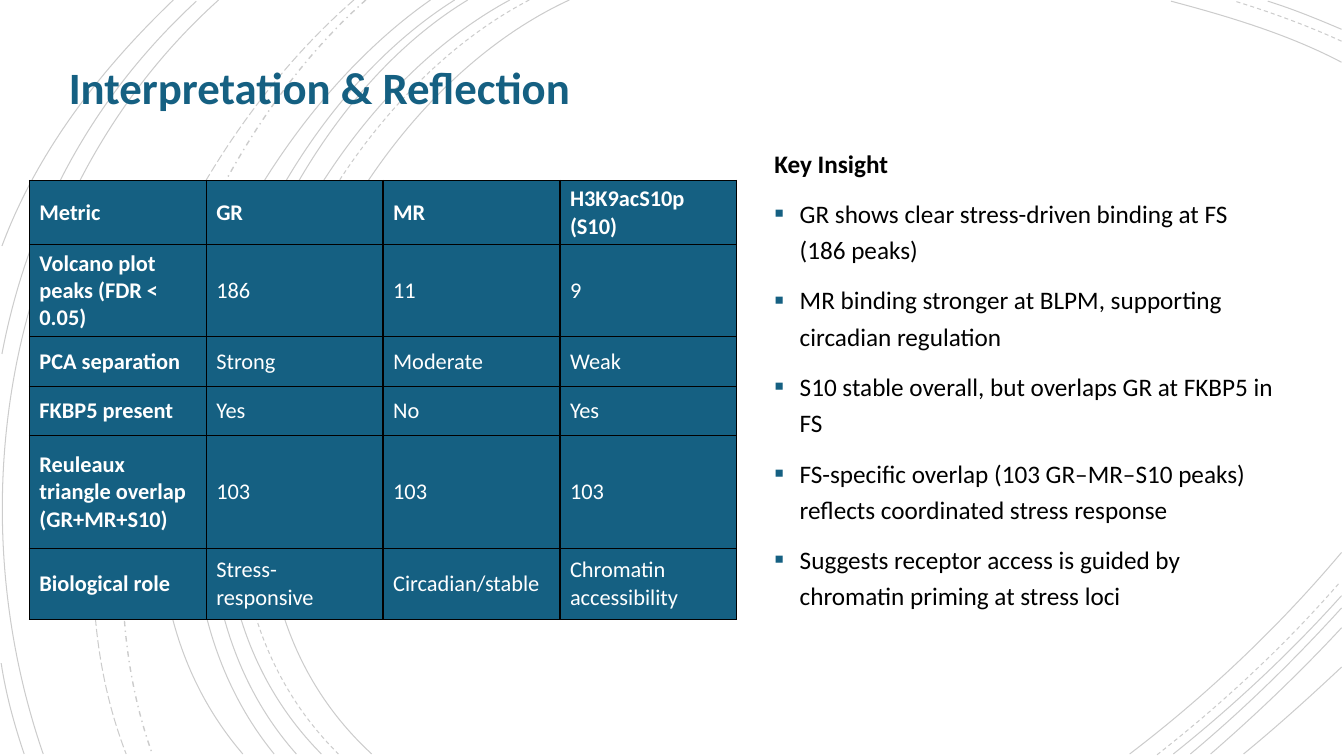
from lxml import etree
from pptx import Presentation
from pptx.dml.color import RGBColor
from pptx.enum.dml import MSO_LINE
from pptx.enum.text import MSO_ANCHOR, MSO_AUTO_SIZE, PP_ALIGN
from pptx.oxml import parse_xml
from pptx.oxml.ns import qn
from pptx.util import Cm, Pt

SOLID, DASH = MSO_LINE.SOLID, MSO_LINE.DASH
DASH_DOT, LONG_DASH = MSO_LINE.DASH_DOT, MSO_LINE.LONG_DASH
MIDDLE, LEFT, NO_FIT = MSO_ANCHOR.MIDDLE, PP_ALIGN.LEFT, MSO_AUTO_SIZE.NONE
NS = 'xmlns:a="http://schemas.openxmlformats.org/drawingml/2006/main"'
FONT = "Calibri"
COLORS = {"accent": "156082", "text": "000000", "light": "FFFFFF", "line": "000000"}

# Cubic curves in cm: start, two control points, end
ARCS = [
    (SOLID, (14.35, 0), (8, 2.92), (3.63, 13.72), (9.37, 19)),
    (SOLID, (33.81, 1.57), (32.46, 0.86), (30.94, 0.41), (29.51, 0.03)),
    (SOLID, (28.47, 19), (30.4, 17.53), (32.23, 15.8), (33.81, 13.92)),
    (DASH, (13.34, 0), (7.24, 3.18), (3.12, 13.64), (8.53, 19)),
    (DASH, (33.81, 1.04), (32.94, 0.64), (32, 0.3), (31.12, 0.03)),
    (DASH, (29.16, 19.02), (30.81, 17.73), (32.39, 16.26), (33.78, 14.66)),
    (SOLID, (12.85, 0), (6.86, 3.23), (2.79, 13.64), (8.1, 19)),
    (SOLID, (33.81, 0.74), (33.2, 0.48), (32.59, 0.23), (31.95, 0.03)),
    (SOLID, (29.57, 19), (31.06, 17.81), (32.51, 16.46), (33.81, 15.01)),
    (SOLID, (11.79, 0), (6.2, 3.38), (2.79, 13.74), (7.47, 19)),
    (SOLID, (30, 19), (31.34, 17.88), (32.61, 16.64), (33.81, 15.32)),
    (SOLID, (11.46, 0), (5.87, 3.51), (2.46, 13.54), (6.91, 19)),
    (SOLID, (30.51, 19), (31.65, 18.01), (32.77, 16.94), (33.81, 15.82)),
    (SOLID, (10.85, 0), (5.51, 3.73), (1.35, 13.44), (6.12, 19)),
    (SOLID, (31.34, 19), (32.18, 18.31), (32.99, 17.58), (33.81, 16.81)),
    (DASH_DOT, (9.22, 0), (4.47, 4.22), (1.65, 12.93), (3.84, 19)),
    (LONG_DASH, (8.92, 0), (3.99, 4.29), (0.74, 12.67), (3.18, 19)),
    (SOLID, (5.51, 0), (0.28, 4.7), (-1.17, 12.45), (1.09, 19)),
    (SOLID, (4.95, 0.03), (2.34, 2.44), (0.71, 5.44), (0.05, 8.92)),
    (SOLID, (0.03, 16.71), (0.15, 17.5), (0.36, 18.26), (0.61, 19)),
    (SOLID, (4.37, 0), (2.54, 1.75), (0.94, 3.81), (0.05, 6.2)),
]

METRICS = [
    ("Metric", "GR", "MR", "H3K9acS10p (S10)"),
    ("Volcano plot peaks (FDR < 0.05)", "186", "11", "9"),
    ("PCA separation", "Strong", "Moderate", "Weak"),
    ("FKBP5 present", "Yes", "No", "Yes"),
    ("Reuleaux triangle overlap (GR+MR+S10)", "103", "103", "103"),
    ("Biological role", "Stress-responsive", "Circadian/stable", "Chromatin accessibility"),
]
ROW_HEIGHTS = [1.5, 2.3, 1.25, 1.25, 2.84, 1.78]

INSIGHTS = [
    "GR shows clear stress-driven binding at FS (186 peaks)",
    "MR binding stronger at BLPM, supporting circadian regulation",
    "S10 stable overall, but overlaps GR at FKBP5 in FS",
    "FS-specific overlap (103 GR–MR–S10 peaks) reflects coordinated stress response",
    "Suggests receptor access is guided by chromatin priming at stress loci",
]


def rgb(name):
    return RGBColor.from_string(COLORS[name])


def add_run(p, text, size, color, bold=False):
    r = p.add_run()
    r.text = text
    r.font.name, r.font.size, r.font.bold = FONT, Pt(size), bold
    r.font.color.rgb = rgb(color)


def place(sp, box):
    """Move a placeholder to its box, in front of what is already drawn."""
    sp.left, sp.top, sp.width, sp.height = [Cm(v) for v in box]
    sp.element.getparent().append(sp.element)
    tf = sp.text_frame
    tf.word_wrap, tf.auto_size, tf.vertical_anchor = True, NO_FIT, MIDDLE
    return tf


def bend(sp):
    """Turn the three straight segments of an outline into one cubic curve."""
    outline = sp.element.find(".//" + qn("a:path"))
    curve = etree.SubElement(outline, qn("a:cubicBezTo"))
    for segment in outline.findall(qn("a:lnTo")):
        curve.append(segment[0])
        outline.remove(segment)


def add_arcs(s, left, top):
    for dash, *points in ARCS:
        start, *others = [(Cm(left + x), Cm(top + y)) for x, y in points]
        builder = s.shapes.build_freeform(*start)
        builder.add_line_segments(others, close=False)
        sp = builder.convert_to_shape()
        bend(sp)
        sp.shadow.inherit = False
        sp.fill.background()
        sp.line.color.rgb = rgb("line")
        sp.line.width = Pt(1 if dash == DASH_DOT else 0.75)
        sp.line.dash_style = dash
        # Faint line: 20% opacity
        color = sp.element.spPr.find(qn("a:ln")).find(".//" + qn("a:srgbClr"))
        etree.SubElement(color, qn("a:alpha"), val="20000")


def add_title(s, box):
    tf = place(s.shapes.title, box)
    p = tf.paragraphs[0]
    p.alignment = LEFT
    add_run(p, "Interpretation & Reflection", 32, "accent", True)


def add_borders(cell):
    tc_pr = cell._tc.get_or_add_tcPr()
    for side in "LRTB":
        tc_pr.append(parse_xml(
            f'<a:ln{side} {NS} w="12700"><a:solidFill><a:srgbClr val="{COLORS["line"]}"/>'
            f'</a:solidFill></a:ln{side}>'))


def add_metrics(s, box):
    left, top, width, height = [Cm(v) for v in box]
    columns = len(METRICS[0])
    table = s.shapes.add_table(len(METRICS), columns, left, top, width, height).table
    for column in table.columns:
        column.width = width // columns
    for i, (row, values) in enumerate(zip(table.rows, METRICS)):
        row.height = Cm(ROW_HEIGHTS[i])
        for j, value in enumerate(values):
            cell = table.cell(i, j)
            add_borders(cell)
            cell.fill.solid()
            cell.fill.fore_color.rgb = rgb("accent")
            cell.vertical_anchor = MIDDLE
            cell.margin_top = cell.margin_bottom = Cm(0.12)
            # Header row and first column are bold
            add_run(cell.text_frame.paragraphs[0], value, 16, "light", i == 0 or j == 0)


def set_bullet(p, marked):
    p_pr = p._p.get_or_add_pPr()
    indent = Cm(0.64) if marked else 0
    p_pr.set("marL", str(indent))
    p_pr.set("indent", str(-indent))
    if not marked:
        etree.SubElement(p_pr, qn("a:buNone"))
        return
    color = etree.SubElement(p_pr, qn("a:buClr"))
    etree.SubElement(color, qn("a:srgbClr"), val=COLORS["accent"])
    etree.SubElement(p_pr, qn("a:buSzPct"), val="110000")
    etree.SubElement(p_pr, qn("a:buFont"), typeface=FONT)
    etree.SubElement(p_pr, qn("a:buChar"), char="▪")


def add_insights(s, box):
    tf = place(s.placeholders[1], box)
    tf.margin_bottom = Cm(1.02)
    for i, text in enumerate(["Key Insight"] + INSIGHTS):
        p = tf.add_paragraph() if i else tf.paragraphs[0]
        set_bullet(p, i > 0)
        p.line_spacing = 1.2
        p.space_before = Pt(10 if i else 0)
        add_run(p, text, 18, "text", i == 0)


def main():
    prs = Presentation()
    prs.slide_width, prs.slide_height = Cm(33.87), Cm(19.05)
    s = prs.slides.add_slide(prs.slide_layouts[1])
    add_arcs(s, 0, 0)
    add_insights(s, (19.26, 2.64, 13.13, 14.58))
    add_title(s, (1.48, 1.37, 13.51, 1.63))
    add_metrics(s, (0.74, 4.55, 17.83, sum(ROW_HEIGHTS)))
    prs.save("out.pptx")


if __name__ == "__main__":
    main()
